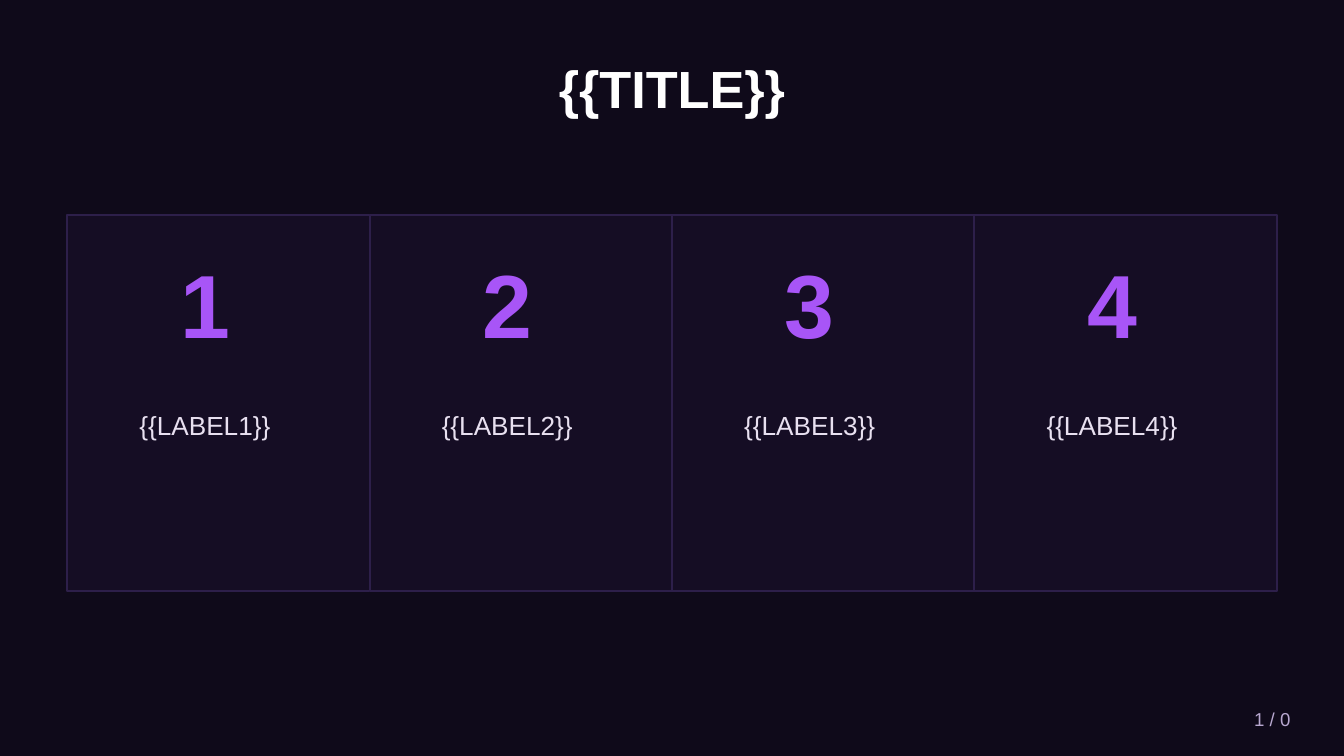
"""Build a dark slide with a title and four numbered cards."""
from pptx import Presentation
from pptx.dml.color import RGBColor
from pptx.enum.shapes import MSO_SHAPE
from pptx.enum.text import MSO_ANCHOR, MSO_AUTO_SIZE, PP_ALIGN
from pptx.util import Inches, Pt

RECT = MSO_SHAPE.RECTANGLE
TOP, MIDDLE = MSO_ANCHOR.TOP, MSO_ANCHOR.MIDDLE
CENTER, RIGHT = PP_ALIGN.CENTER, PP_ALIGN.RIGHT
FIXED = MSO_AUTO_SIZE.NONE


def color(code):
    return RGBColor.from_string(code)


def write(frame, text, size, ink, bold=False, align=CENTER, anchor=MIDDLE, face="Arial"):
    frame.word_wrap = True
    frame.auto_size = FIXED
    frame.vertical_anchor = anchor
    frame.text = text
    line = frame.paragraphs[0]
    line.alignment = align
    font = line.runs[0].font
    font.name, font.size, font.bold = face, Pt(size), bold
    font.color.rgb = color(ink)


class Deck:
    back, panel, edge = "0F0A1A", "150D24", "2D1F4A"
    white, accent, pale, muted = "FFFFFF", "A855F7", "E8E0F0", "B8A8D0"

    def __init__(self, slide):
        self.slide = slide
        fill = slide.background.fill
        fill.solid()
        fill.fore_color.rgb = color(self.back)

    def title(self, text, left, top, width, height):
        shape = self.slide.shapes.title
        shape.left, shape.top = Inches(left), Inches(top)
        shape.width, shape.height = Inches(width), Inches(height)
        write(shape.text_frame, text, 28, self.white, bold=True)

    def text(self, text, left, top, width, height, **style):
        box = self.slide.shapes.add_textbox(
            Inches(left), Inches(top), Inches(width), Inches(height))
        write(box.text_frame, text, **style)

    def rect(self, left, top, width, height):
        shape = self.slide.shapes.add_shape(
            RECT, Inches(left), Inches(top), Inches(width), Inches(height))
        shape.shadow.inherit = False
        shape.fill.solid()
        shape.fill.fore_color.rgb = color(self.panel)
        shape.line.color.rgb = color(self.edge)
        shape.line.width = Pt(1)

    def card(self, number, label, left, width):
        inner = width - 0.2
        self.rect(left, 1.6, width, 2.8)
        self.text(str(number), left, 1.5, inner, 1.5, size=48, ink=self.accent, bold=True)
        self.text(label, left, 3, inner, 1, size=14, ink=self.pale, anchor=TOP)


def main():
    wide = 10
    prs = Presentation()
    prs.slide_width, prs.slide_height = Inches(wide), Inches(wide * 9 / 16)
    deck = Deck(prs.slides.add_slide(prs.slide_layouts[5]))
    margin, count = 0.5, 4
    span = wide - 2 * margin
    width = span / count
    deck.title("{{TITLE}}", margin, 0.3, span, 0.7)
    for i in range(count):
        deck.card(i + 1, f"{{{{LABEL{i + 1}}}}}", margin + i * width, width)
    deck.text("1 / 0", 8.5, 5.2, 1.2, 0.3, size=10, ink=deck.muted, align=RIGHT)
    prs.save("out.pptx")


if __name__ == "__main__":
    main()
